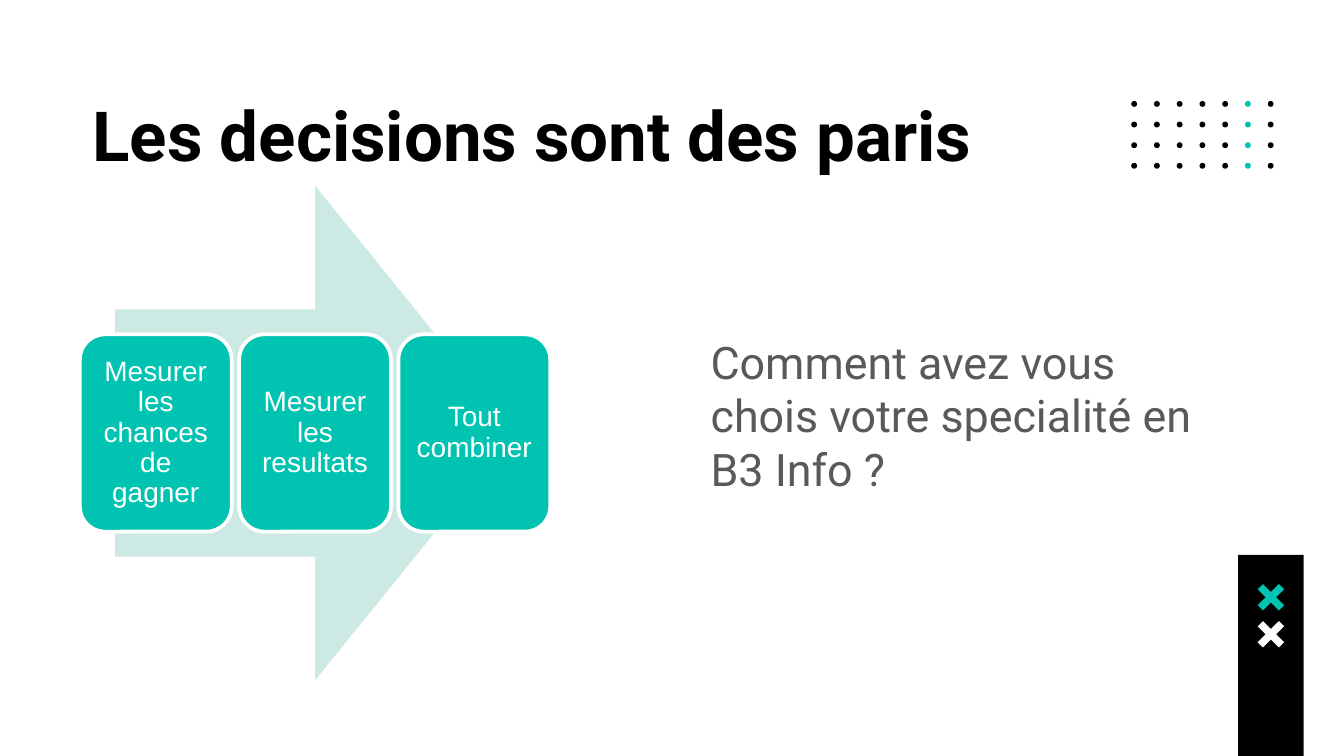
from dataclasses import dataclass

from pptx import Presentation
from pptx import util as u
from pptx.dml.color import RGBColor
from pptx.enum import shapes, text


@dataclass(frozen=True)
class Theme:
    black: str = "000000"
    white: str = "FFFFFF"
    teal: str = "00C3B1"
    pale_teal: str = "CCE9E4"
    grey: str = "595959"
    heading_font: str = "Roboto"
    card_font: str = "Arial"
    title_size: int = 37
    body_size: int = 24
    card_size: int = 15


class SlideBuilder:
    def __init__(self, slide, theme):
        self.slide = slide
        self.theme = theme

    def paint(self, shape, color, outline=None):
        shape.shadow.inherit = False
        shape.fill.solid()
        shape.fill.fore_color.rgb = RGBColor.from_string(color)
        if outline:
            shape.line.color.rgb = RGBColor.from_string(outline)
            shape.line.width = u.Pt(2)
        else:
            shape.line.fill.background()
        return shape

    def set_text(self, shape, words, font, size, color, margins, bold=False,
                 align=text.PP_ALIGN.LEFT, anchor=text.MSO_ANCHOR.TOP):
        """Fill a shape with one paragraph; margins are (sides, top and bottom) in cm."""
        frame = shape.text_frame
        frame.text = words
        frame.word_wrap = True
        frame.auto_size = text.MSO_AUTO_SIZE.NONE
        frame.vertical_anchor = anchor
        frame.margin_left = frame.margin_right = u.Cm(margins[0])
        frame.margin_top = frame.margin_bottom = u.Cm(margins[1])
        paragraph = frame.paragraphs[0]
        paragraph.alignment = align
        run_font = paragraph.runs[0].font
        run_font.name = font
        run_font.size = u.Pt(size)
        run_font.bold = bold
        run_font.color.rgb = RGBColor.from_string(color)
        return paragraph

    def title(self, words, left, top, width, height):
        title = self.slide.shapes.title
        title.left, title.top = u.Cm(left), u.Cm(top)
        title.width, title.height = u.Cm(width), u.Cm(height)
        self.set_text(title, words, self.theme.heading_font, self.theme.title_size,
                      self.theme.black, (0.25, 0.25), bold=True)

    def body(self, words, left, top, width, height):
        box = self.slide.shapes.add_textbox(
            u.Cm(left), u.Cm(top), u.Cm(width), u.Cm(height))
        self.set_text(box, words, self.theme.heading_font, self.theme.body_size,
                      self.theme.grey, (0.25, 0.25))

    def preset(self, kind, left, top, width, height, color, outline=None):
        shape = self.slide.shapes.add_shape(
            kind, u.Cm(left), u.Cm(top), u.Cm(width), u.Cm(height))
        return self.paint(shape, color, outline)

    def card(self, words, left, top, width, height):
        card = self.preset(shapes.MSO_SHAPE.ROUNDED_RECTANGLE, left, top,
                           width, height, self.theme.teal, self.theme.white)
        paragraph = self.set_text(card, words, self.theme.card_font,
                                  self.theme.card_size, self.theme.white, (0.15, 0.15),
                                  align=text.PP_ALIGN.CENTER,
                                  anchor=text.MSO_ANCHOR.MIDDLE)
        paragraph.line_spacing = 0.9

    def dot_grid(self, left, top, columns, rows, accent_column):
        column_gap, row_gap, diameter = 0.43, 0.39, 0.11
        for row in range(rows):
            for column in range(columns):
                color = self.theme.teal if column == accent_column else self.theme.black
                self.preset(shapes.MSO_SHAPE.OVAL, left + column * column_gap,
                            top + row * row_gap, diameter, diameter, color)

    def cross(self, center_x, center_y, color):
        """Draw a diagonal cross by turning one arm four times about its centre."""
        arm = [(-0.15, -0.25), (-0.25, -0.15), (-0.1, 0)]
        points = []
        for _ in range(4):
            points += [(u.Cm(center_x + x), u.Cm(center_y + y)) for x, y in arm]
            arm = [(y, -x) for x, y in arm]
        outline = self.slide.shapes.build_freeform(*points[0])
        outline.add_line_segments(points[1:], close=True)
        self.paint(outline.convert_to_shape(), color)


def main():
    theme = Theme()
    presentation = Presentation()
    presentation.slide_width = u.Cm(25.4)
    presentation.slide_height = u.Cm(14.29)
    title_only = presentation.slide_layouts[5]
    builder = SlideBuilder(presentation.slides.add_slide(title_only), theme)

    builder.dot_grid(21.38, 1.91, columns=7, rows=4, accent_column=5)
    builder.preset(shapes.MSO_SHAPE.RECTANGLE, 23.4, 10.49, 1.24, 3.8, theme.black)
    builder.cross(24.02, 11.29, theme.teal)
    builder.cross(24.02, 11.99, theme.white)

    builder.title("Les decisions sont des paris", 1.5, 1.5, 22.5, 2)
    builder.preset(shapes.MSO_SHAPE.RIGHT_ARROW, 2.17, 3.51, 7.57, 9.35, theme.pale_teal)
    steps = ["Mesurer les chances de gagner", "Mesurer les resultats", "Tout combiner"]
    for index, step in enumerate(steps):
        builder.card(step, 1.51 + index * 3.01, 6.32, 2.87, 3.73)
    builder.body("Comment avez vous chois votre specialité en B3 Info ?",
                 13.18, 6.07, 9.83, 5.28)

    presentation.save("out.pptx")


if __name__ == "__main__":
    main()
